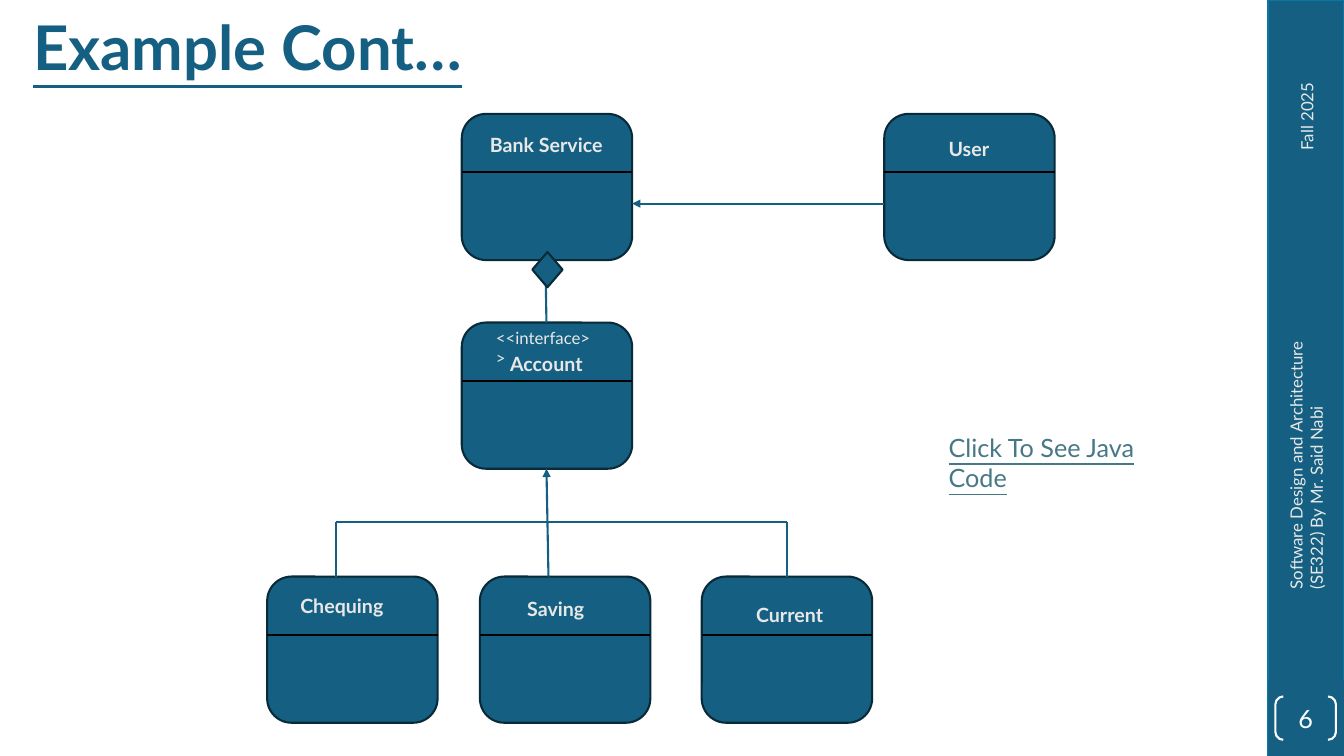
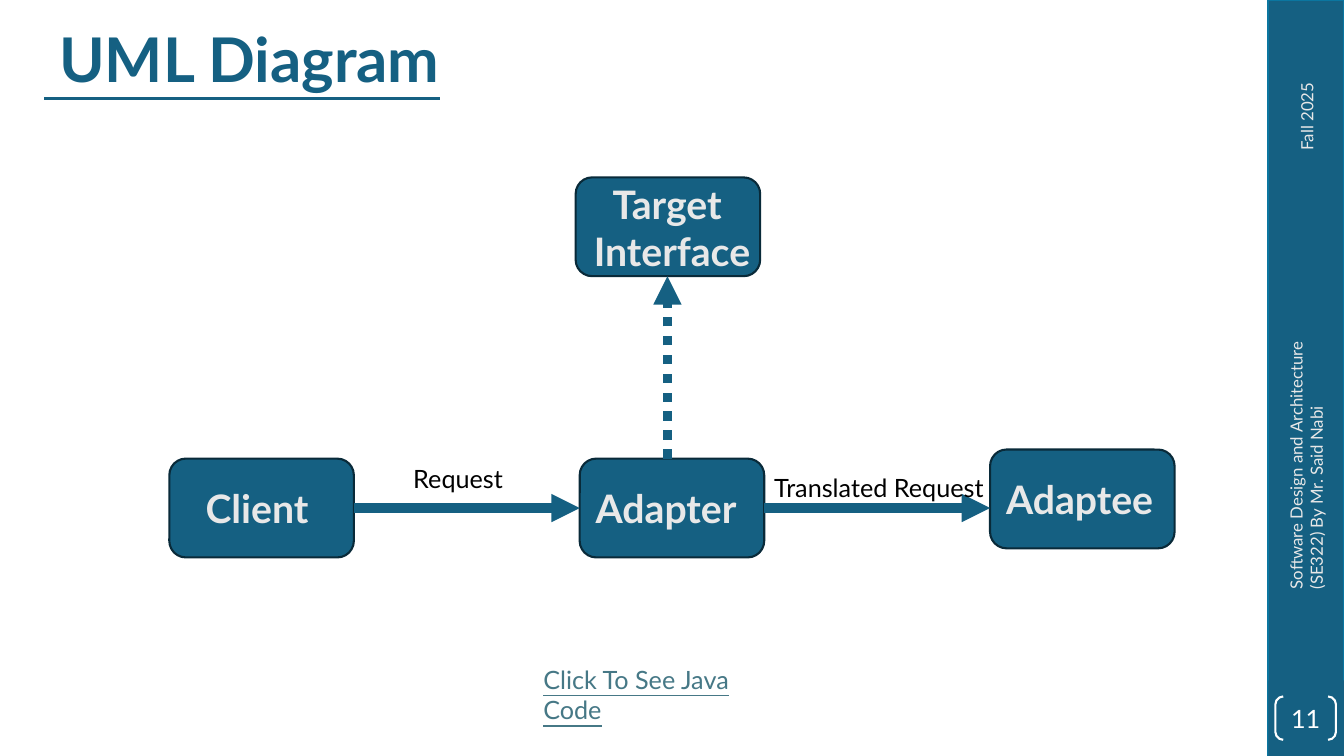
from lxml.etree import SubElement
from pptx import Presentation
from pptx.dml.color import RGBColor
from pptx.enum.dml import MSO_LINE
from pptx.enum.shapes import MSO_CONNECTOR, MSO_SHAPE
from pptx.enum.text import MSO_ANCHOR, PP_ALIGN
from pptx.oxml.ns import qn
from pptx.util import Inches, Pt

FONT = "Lato"
BLUE = RGBColor(0x15, 0x60, 0x82)
BAND_EDGE = RGBColor(0x0B, 0x76, 0xA0)
BOX_EDGE = RGBColor(0x09, 0x2A, 0x39)
LINK = RGBColor(0x46, 0x78, 0x86)
PALE = RGBColor(0xE8, 0xE8, 0xE8)
WHITE = RGBColor(0xFF, 0xFF, 0xFF)
BLACK = RGBColor(0, 0, 0)

CLASS_W, CLASS_H, HEADER_H = 1.69, 1.45, 0.58
NODE_W, NODE_H = 1.83, 0.98


def write(tf, text, size=18, color=PALE, bold=False, underline=False,
          align=PP_ALIGN.LEFT, anchor=MSO_ANCHOR.TOP, spacing=None):
    """Fill a text frame, one paragraph per line of text."""
    tf.word_wrap = True
    tf.vertical_anchor = anchor
    for i, line in enumerate(text.split("\n")):
        p = tf.add_paragraph() if i else tf.paragraphs[0]
        p.alignment = align
        p.line_spacing = spacing
        r = p.add_run()
        r.text = line
        r.font.name = FONT
        r.font.size = Pt(size)
        r.font.color.rgb = color
        r.font.bold = bold
        r.font.underline = underline


def add_text(s, text, x, y, w, h, rotation=0, **fmt):
    """Add a text box."""
    sp = s.shapes.add_textbox(Inches(x), Inches(y), Inches(w), Inches(h))
    sp.rotation = rotation
    write(sp.text_frame, text, **fmt)


def add_box(s, kind, x, y, w, h, fill=BLUE, edge=BOX_EDGE):
    """Add a preset shape; None leaves out its fill or its edge."""
    sp = s.shapes.add_shape(kind, Inches(x), Inches(y), Inches(w), Inches(h))
    sp.shadow.inherit = False
    if fill is None:
        sp.fill.background()
    else:
        sp.fill.solid()
        sp.fill.fore_color.rgb = fill
    if edge is None:
        sp.line.fill.background()
    else:
        sp.line.color.rgb = edge
        sp.line.width = Pt(1.5)
    return sp


def add_line(s, x1, y1, x2, y2, color=BLUE, width=1.5, arrow=False, dash=None):
    """Add a straight line, with an arrowhead at its end if asked."""
    cn = s.shapes.add_connector(MSO_CONNECTOR.STRAIGHT, Inches(x1), Inches(y1),
                                Inches(x2), Inches(y2))
    cn.line.color.rgb = color
    cn.line.width = Pt(width)
    if dash:
        cn.line.dash_style = dash
    if arrow:
        SubElement(cn.line._get_or_add_ln(), qn("a:tailEnd"), type="triangle")
    SubElement(cn._element.spPr, qn("a:effectLst"))


def add_side_band(s, number, x=12.58, w=0.75, h=7.5):
    """Draw the band with date, course and slide number."""
    add_box(s, MSO_SHAPE.RECTANGLE, x, 0, w, h, edge=BAND_EDGE)
    add_box(s, MSO_SHAPE.RECTANGLE, x, h - w, w, w, edge=None)
    add_text(s, "Fall 2025", x - 0.33, 0.73, 1.42, 0.3, rotation=270, size=12)
    add_text(s, "Software Design and Architecture (SE322) By Mr. Said Nabi",
             x - 0.96, 4.36, 2.67, 0.5, rotation=270, size=12)
    sp = add_box(s, MSO_SHAPE.DOUBLE_BRACKET, x + 0.07, 6.91, 0.6, 0.43,
                 fill=None, edge=WHITE)
    sp.adjustments[0] = 0.18
    tf = sp.text_frame
    tf.margin_left = tf.margin_right = tf.margin_top = tf.margin_bottom = 0
    write(tf, str(number), color=WHITE, align=PP_ALIGN.CENTER,
          anchor=MSO_ANCHOR.MIDDLE)


def new_slide(prs, title, number, x, y):
    """Add a blank slide with the side band and a title at x, y."""
    s = prs.slides.add_slide(prs.slide_layouts[6])
    add_side_band(s, number)
    add_text(s, title, x, y, 11.49, 0.71, size=44, color=BLUE, bold=True,
             underline=True, anchor=MSO_ANCHOR.MIDDLE, spacing=0.9)
    return s


def add_code_link(s, x, y):
    """Add the underlined call to see the code."""
    add_text(s, "Click To See Java Code", x, y, 2.67, 0.71, color=LINK,
             underline=True)


def add_class(s, name, x, y, dx, dy, w, stereotype=None):
    """Draw a class box with its name offset by dx, dy."""
    add_box(s, MSO_SHAPE.ROUNDED_RECTANGLE, x, y, CLASS_W, CLASS_H)
    add_line(s, x, y + HEADER_H, x + CLASS_W, y + HEADER_H, color=BLACK)
    if stereotype:
        add_text(s, stereotype, x + 0.24, y, 1.21, 0.3, size=12)
    add_text(s, name, x + dx, y + dy, w, 0.34, size=14, bold=True)


def add_node(s, name, x, y, dx, dy, w, align=PP_ALIGN.LEFT):
    """Draw a rounded node with its large name offset by dx, dy."""
    add_box(s, MSO_SHAPE.ROUNDED_RECTANGLE, x, y, NODE_W, NODE_H)
    add_text(s, name, x + dx, y + dy, w, 0.57, size=28, bold=True, align=align)


def build_class_slide(prs):
    """Build the bank account class diagram."""
    s = new_slide(prs, "Example Cont…", 6, 0.23, 0.15)
    top, middle, bottom = 1.13, 3.2, 5.72
    bank_x, user_x = 4.58, 8.77
    add_class(s, "Account", bank_x, middle, 0.38, 0.24, 0.95, "<<interface>>")
    for name, x, dx, dy, w in (("Current", 6.96, 0.44, 0.21, 0.89),
                               ("Saving", 4.76, 0.37, 0.15, 0.79),
                               ("Chequing", 2.65, 0.23, 0.12, 1.06)):
        add_class(s, name, x, bottom, dx, dy, w)
    left, right, bus_y = 3.33, 7.81, 5.18
    add_line(s, 5.44, bottom, 5.42, middle + CLASS_H, arrow=True)
    add_line(s, left, bus_y, right, bus_y)
    for x in (left, right):
        add_line(s, x, bottom, x, bus_y)
    add_class(s, "Bank Service", bank_x, top, 0.18, 0.14, 1.36)
    add_line(s, 5.42, middle, 5.41, top + CLASS_H, arrow=True)
    add_box(s, MSO_SHAPE.DIAMOND, 5.28, 2.5, 0.3, 0.35)
    add_class(s, "User", user_x, top, 0.54, 0.18, 0.63)
    add_line(s, user_x, 2.02, bank_x + CLASS_W, 2.02, arrow=True)
    add_code_link(s, 9.31, 4.24)


def build_adapter_slide(prs):
    """Build the adapter pattern diagram."""
    s = new_slide(prs, " UML Diagram", 11, 0.34, 0.27)
    client_x, adapter_x, adaptee_x = 1.68, 5.75, 9.82
    row_y, target_y, flow_y = 4.55, 1.76, 5.04
    add_node(s, "Client", client_x, row_y, 0.26, 0.21, 1.39)
    add_node(s, "Adapter", adapter_x, row_y, 0.06, 0.21, 1.63)
    add_node(s, "Target \nInterface", 5.71, target_y, 0.04, -0.02, NODE_W,
             align=PP_ALIGN.CENTER)
    add_node(s, "Adaptee", adaptee_x, 4.46, 0.06, 0.21, 1.7)
    for start, end in ((client_x, adapter_x), (adapter_x, adaptee_x)):
        add_line(s, start + NODE_W, flow_y, end, flow_y, width=6.75, arrow=True)
    add_line(s, 6.62, row_y, 6.62, target_y + NODE_H, width=6.75, arrow=True,
             dash=MSO_LINE.ROUND_DOT)
    add_text(s, "Request", 4, 4.55, 1.11, 0.4, color=BLACK)
    add_text(s, "Translated Request", 7.58, 4.64, 2.29, 0.4, color=BLACK)
    add_code_link(s, 5.29, 6.54)


def main():
    """Build and save the presentation."""
    prs = Presentation()
    prs.slide_width, prs.slide_height = Inches(13.33), Inches(7.5)
    build_class_slide(prs)
    build_adapter_slide(prs)
    prs.save("out.pptx")


if __name__ == "__main__":
    main()
